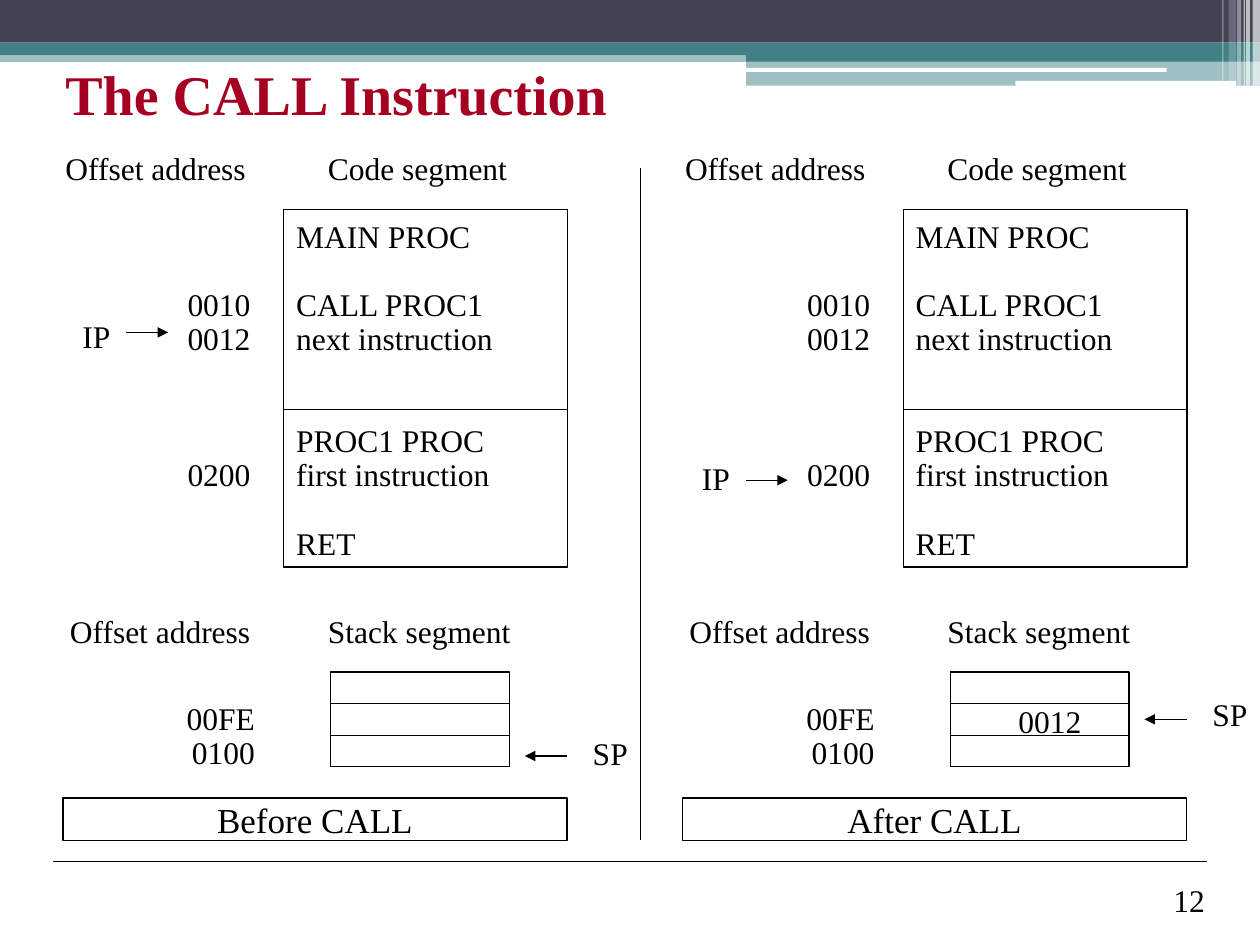
from dataclasses import dataclass

from lxml import etree
from pptx import Presentation
from pptx.dml.color import RGBColor
from pptx.enum import shapes, text
from pptx.oxml import ns
from pptx.util import Cm, Pt

BLACK = RGBColor(0x00, 0x00, 0x00)
WHITE = RGBColor(0xFF, 0xFF, 0xFF)
CRIMSON = RGBColor(0xA5, 0x00, 0x21)
SLATE = RGBColor(0x42, 0x44, 0x56)
TEAL = RGBColor(0x43, 0x80, 0x86)

FONT = "Times New Roman"
PITCH = 19.44  # points from one line of a listing to the next
LEFT = text.PP_ALIGN.LEFT
RIGHT = text.PP_ALIGN.RIGHT
CENTER = text.PP_ALIGN.CENTER
RECTANGLE = shapes.MSO_SHAPE.RECTANGLE
ROUNDED = shapes.MSO_SHAPE.ROUNDED_RECTANGLE


@dataclass(frozen=True)
class Band:
    left: float
    top: float
    width: float
    height: float
    color: RGBColor
    opacity: int = 100
    kind: int = RECTANGLE


@dataclass(frozen=True)
class Line:
    text: str
    gap: float = 0  # points above the line
    align: int = LEFT
    indent: float = 0


@dataclass(frozen=True)
class Panel:
    left: float
    caption: str
    ip_arrow_top: float
    ip_label_top: float
    sp_arrow_top: float
    sp_label_top: float


BANDS = [
    Band(0, 1.02, 25.4, 0.23, TEAL, 50),
    Band(0, 0, 25.4, 0.86, SLATE),
    Band(0, 0.86, 25.4, 0.25, TEAL),
    Band(15.04, 0.99, 10.36, 0.25, TEAL),
    Band(15.04, 1.22, 10.36, 0.51, TEAL, 50),
    Band(15.01, 1.37, 8.51, 0.08, WHITE, 100, ROUNDED),
    Band(20.47, 1.63, 4.45, 0.1, WHITE, 100, ROUNDED),
    Band(25.25, 0, 0.15, 1.73, WHITE, 65),
    Band(25.12, 0, 0.08, 1.73, WHITE, 65),
    Band(25.07, 0, 0.03, 1.73, WHITE, 60),
    Band(24.94, 0, 0.08, 1.73, WHITE, 40),
    Band(24.77, 0, 0.15, 1.63, WHITE, 20),
    Band(24.64, 0, 0.03, 1.63, WHITE, 30),
]

CODE_OFFSETS = [
    Line("Offset address"),
    Line("0010", 3 * PITCH, RIGHT),
    Line("0012", 0, RIGHT),
    Line("0200", 3 * PITCH, RIGHT),
]
CODE = [
    Line("Code segment", indent=0.64),
    Line("MAIN PROC", PITCH),
    Line("CALL PROC1", PITCH),
    Line("next instruction"),
    Line("PROC1 PROC", 2 * PITCH),
    Line("first instruction"),
    Line("RET", PITCH),
]
STACK_OFFSETS = [
    Line("Offset address"),
    Line("00FE", 30.24, RIGHT),
    Line("0100", 0, RIGHT),
]
STACK = [Line("Stack segment", indent=0.64)]

PANELS = [
    Panel(0, "Before CALL", 6.7, 6.35, 15.24, 14.75),
    Panel(12.49, "After CALL", 9.68, 9.2, 14.5, 13.97),
]


def add_band(slide, band: Band):
    shape = slide.shapes.add_shape(
        band.kind, Cm(band.left), Cm(band.top), Cm(band.width), Cm(band.height))
    shape.shadow.inherit = False
    shape.line.fill.background()
    shape.fill.solid()
    shape.fill.fore_color.rgb = band.color
    if band.opacity < 100:
        color = shape.fill._xPr.find(".//" + ns.qn("a:srgbClr"))
        etree.SubElement(color, ns.qn("a:alpha"), val=str(band.opacity * 1000))
    return shape


def add_box(slide, left: float, top: float, width: float, height: float):
    """Add a white box with a thin black outline."""
    shape = add_band(slide, Band(left, top, width, height, WHITE))
    shape.line.color.rgb = BLACK
    shape.line.width = Pt(0.75)
    return shape


def add_line(slide, x1: float, y1: float, x2: float, y2: float, arrow: bool = False) -> None:
    connector = slide.shapes.add_connector(
        shapes.MSO_CONNECTOR.STRAIGHT, Cm(x1), Cm(y1), Cm(x2), Cm(y2))
    connector.line.color.rgb = BLACK
    connector.line.width = Pt(0.75)
    if arrow:
        etree.SubElement(connector.line._get_or_add_ln(), ns.qn("a:tailEnd"), type="triangle")
    etree.SubElement(connector._element.spPr, ns.qn("a:effectLst"))


def write(frame, lines: list[Line], *, size: float = 18, color: RGBColor = BLACK,
          bold: bool = False, pitch: float | None = None, wrap: bool = True) -> None:
    """Fill a text frame, one paragraph for each line."""
    frame.word_wrap = wrap
    for index, line in enumerate(lines):
        paragraph = frame.paragraphs[0] if index == 0 else frame.add_paragraph()
        paragraph.alignment = line.align
        paragraph.space_before = Pt(line.gap)
        if pitch:
            paragraph.line_spacing = Pt(pitch)
        if line.indent:
            paragraph._p.get_or_add_pPr().set("marL", str(Cm(line.indent)))
        run = paragraph.add_run()
        run.text = line.text
        run.font.name = FONT
        run.font.size = Pt(size)
        run.font.bold = bold
        run.font.color.rgb = color


def add_text(slide, left: float, top: float, width: float, height: float,
             lines: list[Line], **style) -> None:
    box = slide.shapes.add_textbox(Cm(left), Cm(top), Cm(width), Cm(height))
    write(box.text_frame, lines, **style)
    box.text_frame.auto_size = text.MSO_AUTO_SIZE.SHAPE_TO_FIT_TEXT


def add_panel(slide, panel: Panel) -> None:
    """Draw the code and stack segments at one moment of the call."""
    x = panel.left
    add_box(slide, x + 5.72, 4.23, 5.72, 7.2)
    add_text(slide, x + 1.07, 2.96, 4.23, 8.51, CODE_OFFSETS, pitch=PITCH)
    add_text(slide, x + 5.72, 2.96, 6.35, 8.48, CODE, pitch=PITCH)
    add_line(slide, x + 5.72, 8.26, x + 11.44, 8.26)

    add_text(slide, x + 1.16, 12.28, 4.23, 3.39, STACK_OFFSETS, pitch=PITCH)
    add_text(slide, x + 5.72, 12.28, 6.35, 1.62, STACK, pitch=PITCH)
    add_box(slide, x + 6.67, 13.55, 3.6, 1.91)
    for y in (14.18, 14.82):
        add_line(slide, x + 6.67, y, x + 10.27, y)

    add_line(slide, x + 2.54, panel.ip_arrow_top, x + 3.39, panel.ip_arrow_top, arrow=True)
    add_text(slide, x + 1.41, panel.ip_label_top, 1.07, 0.94, [Line("IP")],
             pitch=PITCH, wrap=False)
    add_line(slide, x + 11.43, panel.sp_arrow_top, x + 10.58, panel.sp_arrow_top, arrow=True)
    add_text(slide, x + 11.7, panel.sp_label_top, 1.22, 0.94, [Line("SP")],
             pitch=PITCH, wrap=False)

    caption = add_box(slide, x + 1.27, 16.09, 10.16, 0.85)
    caption.text_frame.vertical_anchor = text.MSO_ANCHOR.MIDDLE
    write(caption.text_frame, [Line(panel.caption, align=CENTER)], size=20, wrap=False)


def main() -> None:
    presentation = Presentation()
    presentation.slide_width, presentation.slide_height = Cm(25.4), Cm(19.05)
    slide = presentation.slides.add_slide(presentation.slide_layouts[6])

    for band in BANDS:
        add_band(slide, band)
    add_line(slide, 1.07, 17.36, 24.33, 17.36)
    add_text(slide, 23.06, 17.63, 1.48, 1.02, [Line("12", align=RIGHT)])
    add_text(slide, 1.07, 1.07, 20.32, 1.62, [Line("The CALL Instruction")],
             size=32, color=CRIMSON, bold=True)

    for panel in PANELS:
        add_panel(slide, panel)
    add_line(slide, 12.91, 3.39, 12.91, 16.93)
    add_text(slide, 20.28, 14.03, 1.78, 1.02, [Line("0012")], wrap=False)

    presentation.save("out.pptx")


if __name__ == "__main__":
    main()
